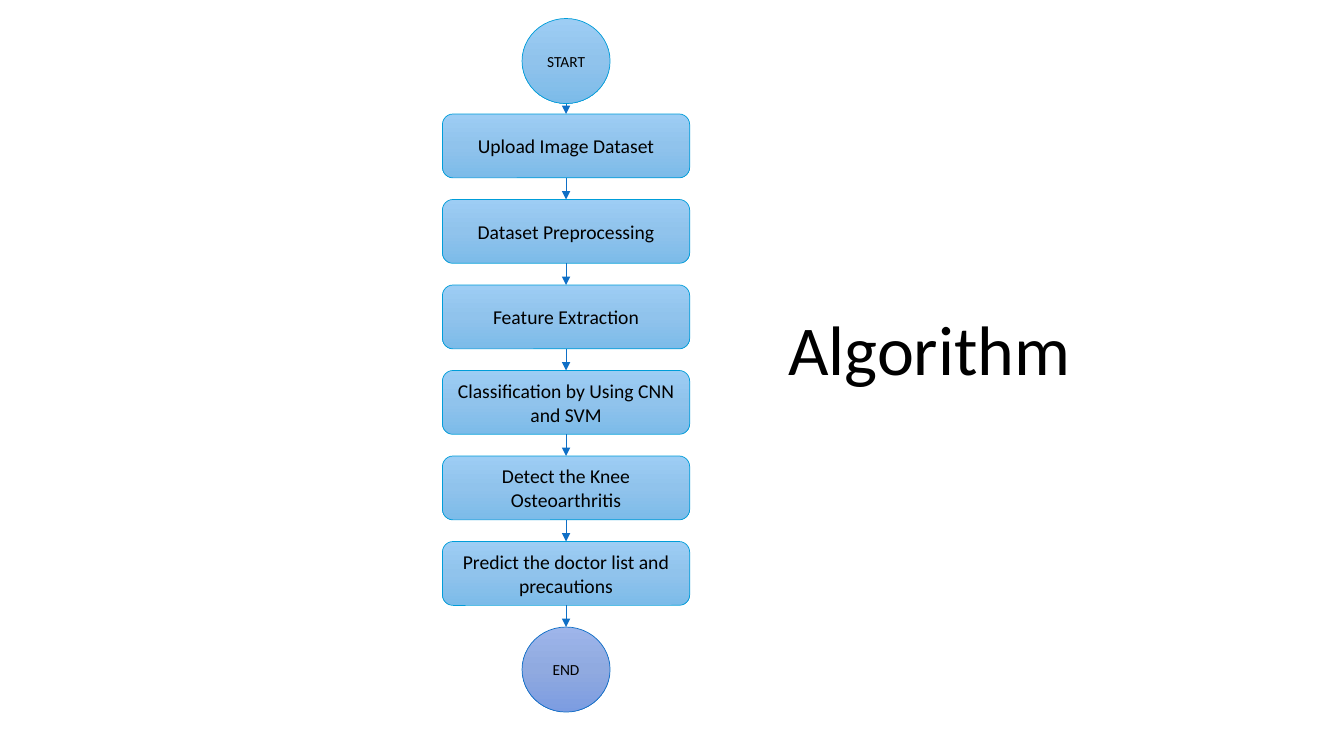
import copy
from dataclasses import dataclass

import pptx
import pptx.util
import pptx.dml.color
import pptx.enum.shapes
import pptx.enum.text
import pptx.oxml
import pptx.oxml.ns

KIND = pptx.enum.shapes.MSO_SHAPE
ALIGN = pptx.enum.text.PP_ALIGN
ANCHOR = pptx.enum.text.MSO_ANCHOR


@dataclass(frozen=True)
class Theme:
    font: str = "Calibri"
    ink: str = "000000"
    sky: tuple = ("9DCDF4", "90C3EC", "7CBBE9")
    dusk: tuple = ("9EB5EA", "90AAE0", "7C9CE1")
    rim: str = "009DD9"
    blue: str = "0F6FC6"
    cap: int = 11
    body: int = 14
    head: int = 50
    line: float = 0.5


def rgb(code):
    return pptx.dml.color.RGBColor.from_string(code)


class Chart:
    """Draws on one slide; all lengths are percent of the slide's size."""

    def __init__(self, deck, theme):
        self.deck, self.theme = deck, theme
        self.slide = deck.slides.add_slide(deck.slide_layouts[6])

    def across(self, share):
        return round(self.deck.slide_width * share / 100)

    def down(self, share):
        return round(self.deck.slide_height * share / 100)

    def place(self, x, y, w, h):
        return self.across(x), self.down(y), self.across(w), self.down(h)

    def label(self, shape, text, size, align, anchor):
        frame = shape.text_frame
        frame.word_wrap = True
        frame.vertical_anchor = anchor
        para = frame.paragraphs[0]
        para.alignment = align
        run = para.add_run()
        run.text = text
        run.font.name = self.theme.font
        run.font.size = pptx.util.Pt(size)
        run.font.color.rgb = rgb(self.theme.ink)
        return para

    def shade(self, shape, tones):
        shape.fill.gradient()
        shape.fill.gradient_angle = 270  # counter-clockwise: top to bottom
        first = shape.element.spPr.find(".//" + pptx.oxml.ns.qn("a:gs"))
        first.addnext(copy.deepcopy(first))
        for i, (stop, tone) in enumerate(zip(shape.fill.gradient_stops, tones)):
            stop.position = i / 2
            stop.color.rgb = rgb(tone)

    def node(self, kind, text, mid, top, w, h, size, tones, rim):
        shape = self.slide.shapes.add_shape(
            kind, *self.place(mid - w / 2, top, w, h))
        shape.shadow.inherit = False
        self.shade(shape, tones)
        shape.line.color.rgb = rgb(rim)
        shape.line.width = pptx.util.Pt(self.theme.line)
        self.label(shape, text, size, ALIGN.CENTER, ANCHOR.MIDDLE)
        return shape

    def arrow(self, top, low):
        x = top.left + top.width // 2
        link = self.slide.shapes.add_connector(
            pptx.enum.shapes.MSO_CONNECTOR.STRAIGHT,
            x, top.top + top.height, x, low.top)
        if top.auto_shape_type != KIND.OVAL:
            link.begin_connect(top, 2)
        link.end_connect(low, 0)
        link.line.color.rgb = rgb(self.theme.blue)
        link.line.width = pptx.util.Pt(self.theme.line)
        # Arrowhead on, shadow off
        props = link.element.spPr
        space = pptx.oxml.ns.nsdecls("a")
        props.find(pptx.oxml.ns.qn("a:ln")).append(
            pptx.oxml.parse_xml(f'<a:tailEnd {space} type="triangle"/>'))
        props.append(pptx.oxml.parse_xml(f"<a:effectLst {space}/>"))

    def title(self, text, x, y, w, h):
        box = self.slide.shapes.add_textbox(*self.place(x, y, w, h))
        para = self.label(box, text, self.theme.head, ALIGN.LEFT, ANCHOR.BOTTOM)
        para.line_spacing = 0.9


STEPS = (
    "Upload Image Dataset",
    "Dataset Preprocessing",
    "Feature Extraction",
    "Classification by Using CNN and SVM",
    "Detect the Knee Osteoarthritis",
    "Predict the doctor list and precautions",
)
MID, TOP, PITCH = 42.12, 15.08, 11.31
DISC = (6.55, 11.25)
STEP = (18.4, 8.45)


def main():
    deck = pptx.Presentation()
    deck.slide_width = pptx.util.Inches(13.33)
    deck.slide_height = pptx.util.Inches(7.5)
    look = Theme()
    chart = Chart(deck, look)

    # Start, the six steps at an even pitch, end
    flow = [chart.node(KIND.OVAL, "START", MID, 2.45, *DISC,
                       look.cap, look.sky, look.rim)]
    for i, text in enumerate(STEPS):
        flow.append(chart.node(KIND.ROUNDED_RECTANGLE, text, MID,
                               TOP + i * PITCH, *STEP,
                               look.body, look.sky, look.rim))
    flow.append(chart.node(KIND.OVAL, "END", MID, TOP + len(STEPS) * PITCH,
                           *DISC, look.cap, look.dusk, look.blue))

    # Arrows from each node to the next
    for top, low in zip(flow, flow[1:]):
        chart.arrow(top, low)

    # Heading
    chart.title("Algorithm", 57.9, 40.67, 38.4, 11.6)

    deck.save("out.pptx")


if __name__ == "__main__":
    main()
